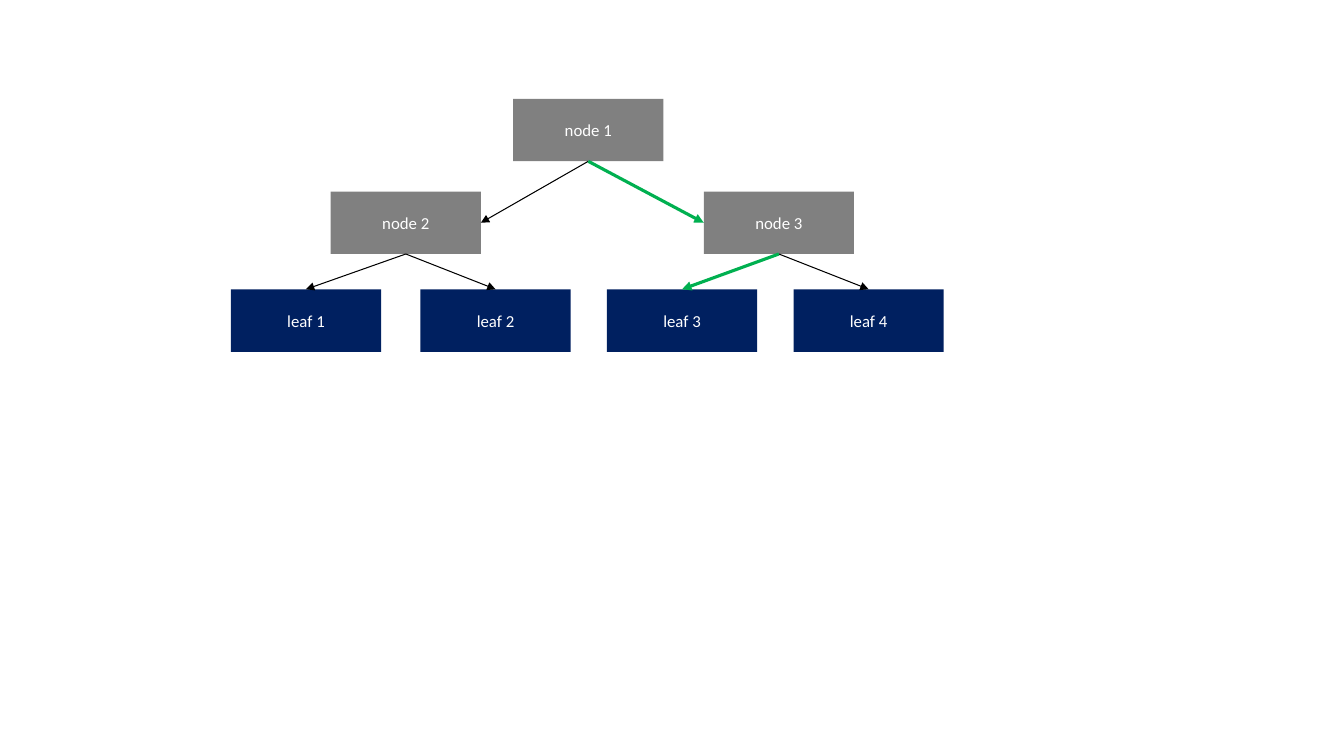
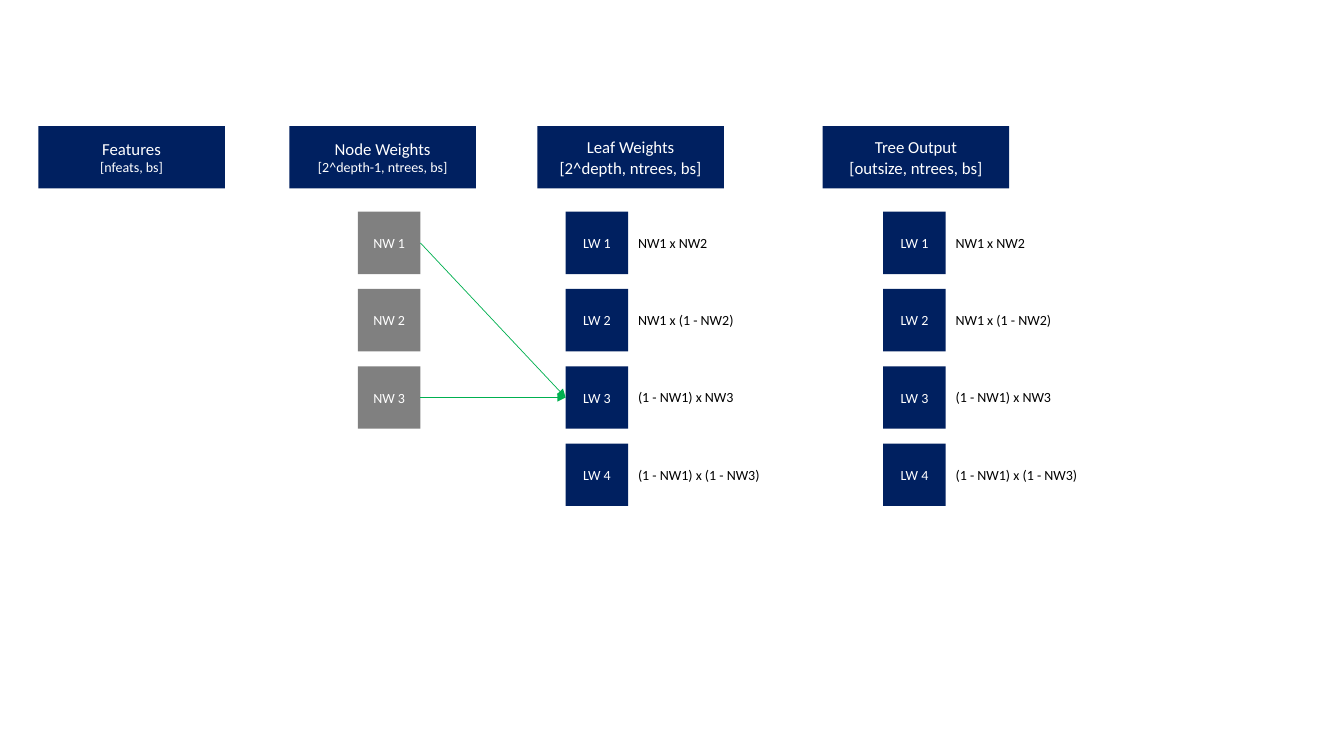
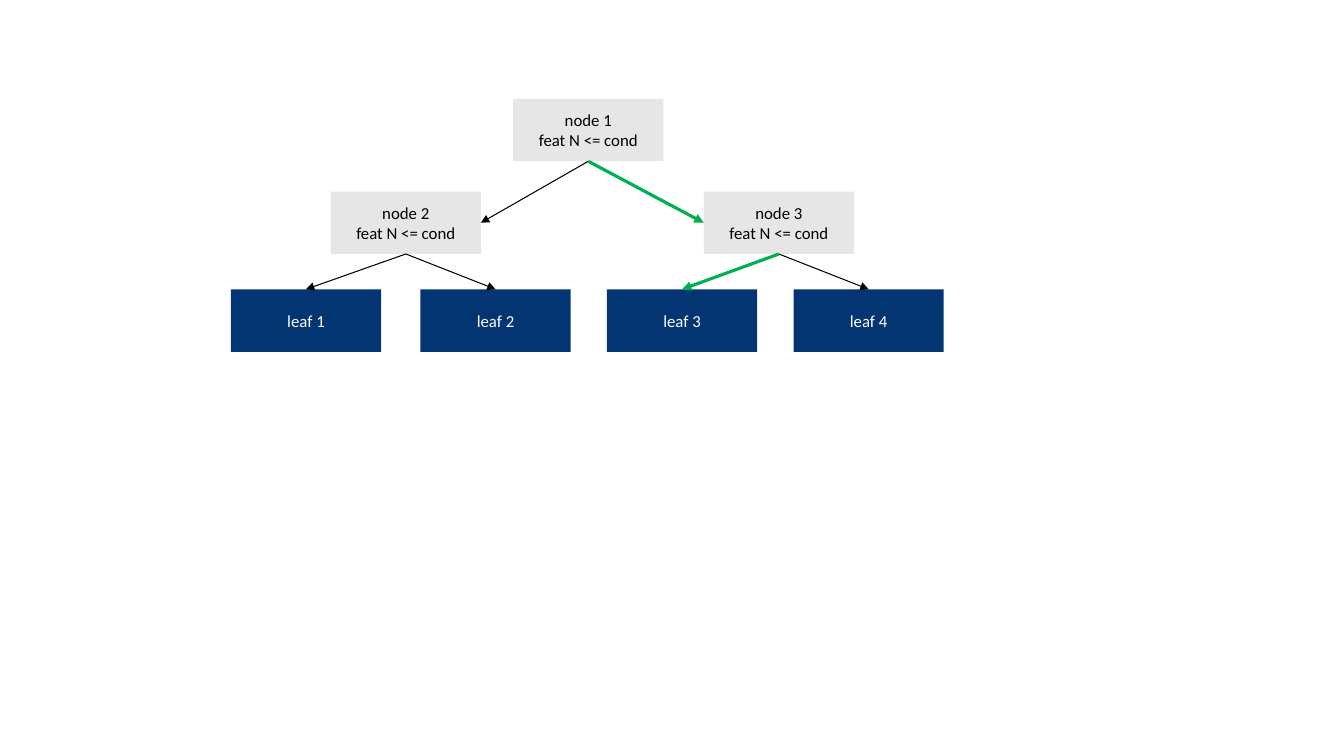
from pptx import Presentation
from pptx.dml.color import RGBColor
from pptx.enum.shapes import MSO_CONNECTOR, MSO_SHAPE
from pptx.enum.text import MSO_ANCHOR, MSO_AUTO_SIZE, PP_ALIGN
from pptx.oxml.ns import qn
from pptx.util import Inches, Pt
from lxml.etree import SubElement

# Shared colours
NAVY = RGBColor(0x00, 0x20, 0x60)
BLUE = RGBColor(0x02, 0x35, 0x72)
GRAY = RGBColor(0x80, 0x80, 0x80)
LIGHT_GRAY = RGBColor(0xE7, 0xE6, 0xE6)
GREEN = RGBColor(0x00, 0xB0, 0x50)
BLACK = RGBColor(0x00, 0x00, 0x00)
WHITE = RGBColor(0xFF, 0xFF, 0xFF)

# Shared measures
FONT = "Calibri"
BOX_HEIGHT = 0.62
TREE_BOX_WIDTH = 1.49
HEADER_WIDTH = 1.85
HEADER_TOP = 1.25
ROW_TOP = 2.1
ROW_PITCH = (4.4 - ROW_TOP) / 3
FORMULA_WIDTH = 1.6
FORMULA_HEIGHT = 0.27

# Connection sites of a rectangle
TOP, LEFT, BOTTOM, RIGHT = range(4)

# Tree: name -> left, top
NODES = {"node 1": (5.09, 0.98), "node 2": (3.28, 1.9), "node 3": (6.98, 1.9)}
LEAF_TOP = 2.87
LEAVES = {"leaf 1": 2.29, "leaf 2": 4.17, "leaf 3": 6.02, "leaf 4": 7.87}
# Parent, child, side of the child, whether the edge is on the chosen path
EDGES = [
    ("node 1", "node 2", RIGHT, False),
    ("node 1", "node 3", LEFT, True),
    ("node 2", "leaf 2", TOP, False),
    ("node 2", "leaf 1", TOP, False),
    ("node 3", "leaf 4", TOP, False),
    ("node 3", "leaf 3", TOP, True),
]

# Weights: left, title, dimensions, size of the dimensions
HEADERS = [
    (0.38, "Features", "[nfeats, bs]", 10),
    (2.87, "Node Weights", "[2^depth-1, ntrees, bs]", 10),
    (5.33, "Leaf Weights", "[2^depth, ntrees, bs]", 12),
    (8.16, "Tree Output", "[outsize, ntrees, bs]", 12),
]
FORMULAS = [
    "NW1 x NW2",
    "NW1 x (1 - NW2)",
    "(1 - NW1) x NW3",
    "(1 - NW1) x (1 - NW3)",
]


def set_attributes(target, values):
    for name, value in values.items():
        setattr(target, name, value)


def write_lines(frame, lines, color, alignment):
    """Write one paragraph for each (text, size) pair."""
    for index, (text, size) in enumerate(lines):
        paragraph = frame.add_paragraph() if index else frame.paragraphs[0]
        paragraph.alignment = alignment
        run = paragraph.add_run()
        run.text = text
        set_attributes(run.font, {"name": FONT, "size": Pt(size)})
        run.font.color.rgb = color


def add_box(slide, left, top, width, lines, fill, color=WHITE):
    shape = slide.shapes.add_shape(
        MSO_SHAPE.RECTANGLE,
        Inches(left), Inches(top), Inches(width), Inches(BOX_HEIGHT))
    shape.shadow.inherit = False
    shape.fill.solid()
    shape.fill.fore_color.rgb = fill
    shape.line.fill.background()
    set_attributes(shape.text_frame, {
        "word_wrap": True, "vertical_anchor": MSO_ANCHOR.MIDDLE})
    write_lines(shape.text_frame, lines, color, PP_ALIGN.CENTER)
    return shape


def add_formula(slide, left, top, text):
    shape = slide.shapes.add_textbox(
        Inches(left), Inches(top),
        Inches(FORMULA_WIDTH), Inches(FORMULA_HEIGHT))
    set_attributes(shape.text_frame, {
        "word_wrap": True, "auto_size": MSO_AUTO_SIZE.SHAPE_TO_FIT_TEXT})
    write_lines(shape.text_frame, [(text, 10)], BLACK, PP_ALIGN.LEFT)


def add_arrow(slide, start, start_side, end, end_side, color, width):
    connector = slide.shapes.add_connector(MSO_CONNECTOR.STRAIGHT, 0, 0, 0, 0)
    connector.begin_connect(start, start_side)
    connector.end_connect(end, end_side)
    connector.line.color.rgb = color
    connector.line.width = Pt(width)
    SubElement(connector.line._get_or_add_ln(), qn("a:tailEnd"), type="triangle")
    SubElement(connector._element.spPr, qn("a:effectLst"))


def add_tree(slide, node_fill, node_color, leaf_fill, condition=None):
    boxes = {}
    for name, (left, top) in NODES.items():
        lines = [(text, 12) for text in (name, condition) if text]
        boxes[name] = add_box(
            slide, left, top, TREE_BOX_WIDTH, lines, node_fill, node_color)
    for name, left in LEAVES.items():
        boxes[name] = add_box(
            slide, left, LEAF_TOP, TREE_BOX_WIDTH, [(name, 12)], leaf_fill)
    for parent, child, side, chosen in EDGES:
        color, width = (GREEN, 2.25) if chosen else (BLACK, 0.75)
        add_arrow(slide, boxes[parent], BOTTOM, boxes[child], side, color, width)


def add_weight_column(slide, left, prefix, count, fill):
    return [
        add_box(slide, left, ROW_TOP + row * ROW_PITCH, BOX_HEIGHT,
                [(f"{prefix} {row + 1}", 10)], fill)
        for row in range(count)
    ]


def add_leaf_column(slide, left):
    """Leaf weights with the formula of each one to the right."""
    boxes = add_weight_column(slide, left, "LW", len(FORMULAS), NAVY)
    offset = (BOX_HEIGHT - FORMULA_HEIGHT) / 2
    for row, formula in enumerate(FORMULAS):
        add_formula(slide, left + BOX_HEIGHT,
                    ROW_TOP + row * ROW_PITCH + offset, formula)
    return boxes


def add_weights(slide):
    for left, title, dimensions, size in HEADERS:
        add_box(slide, left, HEADER_TOP, HEADER_WIDTH,
                [(title, 12), (dimensions, size)], NAVY)
    node_weights = add_weight_column(slide, 3.55, "NW", 3, GRAY)
    leaf_weights = add_leaf_column(slide, 5.61)
    add_leaf_column(slide, 8.76)
    # Node weights that make up the third leaf weight
    for node in (node_weights[2], node_weights[0]):
        add_arrow(slide, node, RIGHT, leaf_weights[2], LEFT, GREEN, 0.5)


def main():
    presentation = Presentation()
    set_attributes(presentation, {
        "slide_width": Inches(13.33), "slide_height": Inches(7.5)})
    blank = presentation.slide_layouts[6]
    tree, weights, condition_tree = (
        presentation.slides.add_slide(blank) for _ in range(3))
    add_tree(tree, GRAY, WHITE, NAVY)
    add_weights(weights)
    add_tree(condition_tree, LIGHT_GRAY, BLACK, BLUE, "feat N <= cond")
    presentation.save("out.pptx")


if __name__ == "__main__":
    main()
